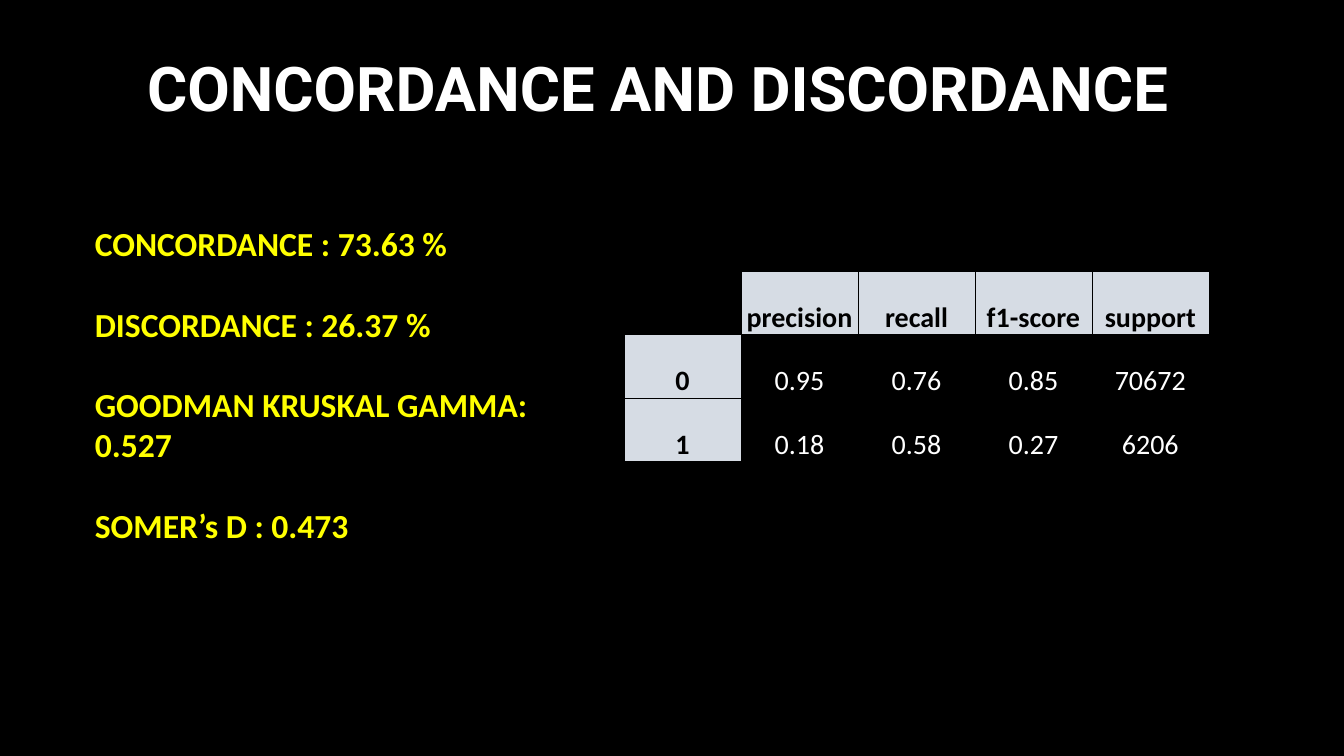
from dataclasses import dataclass

from lxml import etree
from pptx import Presentation
from pptx.dml.color import RGBColor
from pptx.enum.text import MSO_ANCHOR, MSO_AUTO_SIZE, PP_ALIGN
from pptx.oxml.ns import qn
from pptx.util import Inches, Pt

CENTER, LEFT = PP_ALIGN.CENTER, PP_ALIGN.LEFT
TOP, MIDDLE, BOTTOM = MSO_ANCHOR.TOP, MSO_ANCHOR.MIDDLE, MSO_ANCHOR.BOTTOM
NO_AUTOFIT = MSO_AUTO_SIZE.NONE


@dataclass(frozen=True)
class Theme:
    black: RGBColor = RGBColor(0x00, 0x00, 0x00)
    white: RGBColor = RGBColor(0xFF, 0xFF, 0xFF)
    yellow: RGBColor = RGBColor(0xFF, 0xFF, 0x00)
    header_fill: RGBColor = RGBColor(0xD6, 0xDC, 0xE4)
    title_font: str = "Roboto"
    body_font: str = "Calibri"
    title_size: Pt = Pt(44)
    body_size: Pt = Pt(24)
    table_size: Pt = Pt(20)
    border_width: Pt = Pt(0.5)
    measure_gap: Pt = Pt(28.8)


@dataclass(frozen=True)
class Box:
    left: float
    top: float
    width: float
    height: float


@dataclass(frozen=True)
class Line:
    text: str
    gap_before: Pt = Pt(0)


THEME = Theme()
TITLE_BOX = Box(0.48, 0.23, 12.1, 1.26)
MEASURES_BOX = Box(0.84, 2.16, 5.07, 4.14)
SCORES_BOX = Box(6.19, 2.69, 5.8, 1.89)

TITLE = [Line("CONCORDANCE AND DISCORDANCE")]
MEASURES = [
    Line("CONCORDANCE : 73.63 %"),
    Line("DISCORDANCE : 26.37 %", THEME.measure_gap),
    Line("GOODMAN KRUSKAL GAMMA:", THEME.measure_gap),
    Line("0.527"),
    Line("SOMER’s D : 0.473", THEME.measure_gap),
]
SCORES = [
    ["", "precision", "recall", "f1-score", "support"],
    ["0", "0.95", "0.76", "0.85", "70672"],
    ["1", "0.18", "0.58", "0.27", "6206"],
]

TITLE_FORMAT = {"name": THEME.title_font, "size": THEME.title_size, "bold": True}
MEASURE_FORMAT = {"name": THEME.body_font, "size": THEME.body_size, "bold": True}
SCORE_FORMAT = {"name": THEME.body_font, "size": THEME.table_size}
CELL_FORMAT = {
    "vertical_anchor": BOTTOM,
    "margin_left": Inches(0.01),
    "margin_right": Inches(0.01),
    "margin_top": Inches(0.01),
    "margin_bottom": 0,
}


def apply_format(target, values: dict) -> None:
    for name, value in values.items():
        setattr(target, name, value)


def write_line(paragraph, line: Line, align, font: dict, color: RGBColor) -> None:
    apply_format(paragraph, {"alignment": align, "space_before": line.gap_before})
    run = paragraph.add_run()
    run.text = line.text
    apply_format(run.font, font)
    run.font.color.rgb = color


def remove_bullet(paragraph) -> None:
    properties = paragraph._p.get_or_add_pPr()
    properties.set("marL", "0")
    properties.set("indent", "0")
    etree.SubElement(properties, qn("a:buNone"))


def fill_placeholder(
    shape, box: Box, lines: list[Line], anchor, align, font: dict, color: RGBColor
) -> None:
    for name in ("left", "top", "width", "height"):
        setattr(shape, name, Inches(getattr(box, name)))
    frame = shape.text_frame
    apply_format(
        frame,
        {"word_wrap": True, "auto_size": NO_AUTOFIT, "vertical_anchor": anchor},
    )
    for index, line in enumerate(lines):
        paragraph = frame.add_paragraph() if index else frame.paragraphs[0]
        write_line(paragraph, line, align, font, color)
        remove_bullet(paragraph)


def add_borders(cell) -> None:
    properties = cell._tc.get_or_add_tcPr()
    for side in ("lnL", "lnR", "lnT", "lnB"):
        border = etree.SubElement(
            properties, qn(f"a:{side}"), w=str(int(THEME.border_width))
        )
        fill = etree.SubElement(border, qn("a:solidFill"))
        etree.SubElement(fill, qn("a:srgbClr"), val=str(THEME.black))


def add_scores_table(slide, box: Box, rows: list[list[str]]) -> None:
    row_count, column_count = len(rows), len(rows[0])
    table = slide.shapes.add_table(
        row_count,
        column_count,
        Inches(box.left),
        Inches(box.top),
        Inches(box.width),
        Inches(box.height),
    ).table
    apply_format(table, {"first_row": False, "horz_banding": False})
    for row_index, row in enumerate(rows):
        for column_index, text in enumerate(row):
            cell = table.cell(row_index, column_index)
            apply_format(cell, CELL_FORMAT)
            add_borders(cell)
            is_header = bool(text) and 0 in (row_index, column_index)
            if is_header:
                cell.fill.solid()
                cell.fill.fore_color.rgb = THEME.header_fill
            else:
                cell.fill.background()
            if text:
                write_line(
                    cell.text_frame.paragraphs[0],
                    Line(text),
                    CENTER,
                    {**SCORE_FORMAT, "bold": is_header},
                    THEME.black if is_header else THEME.white,
                )


def main() -> None:
    presentation = Presentation()
    presentation.slide_width = Inches(13.33)
    presentation.slide_height = Inches(7.5)
    slide = presentation.slides.add_slide(presentation.slide_layouts[1])
    slide.background.fill.solid()
    slide.background.fill.fore_color.rgb = THEME.black

    fill_placeholder(
        slide.shapes.title, TITLE_BOX, TITLE, MIDDLE, CENTER, TITLE_FORMAT, THEME.white
    )
    fill_placeholder(
        slide.placeholders[1],
        MEASURES_BOX,
        MEASURES,
        TOP,
        LEFT,
        MEASURE_FORMAT,
        THEME.yellow,
    )
    add_scores_table(slide, SCORES_BOX, SCORES)
    presentation.save("out.pptx")


if __name__ == "__main__":
    main()
